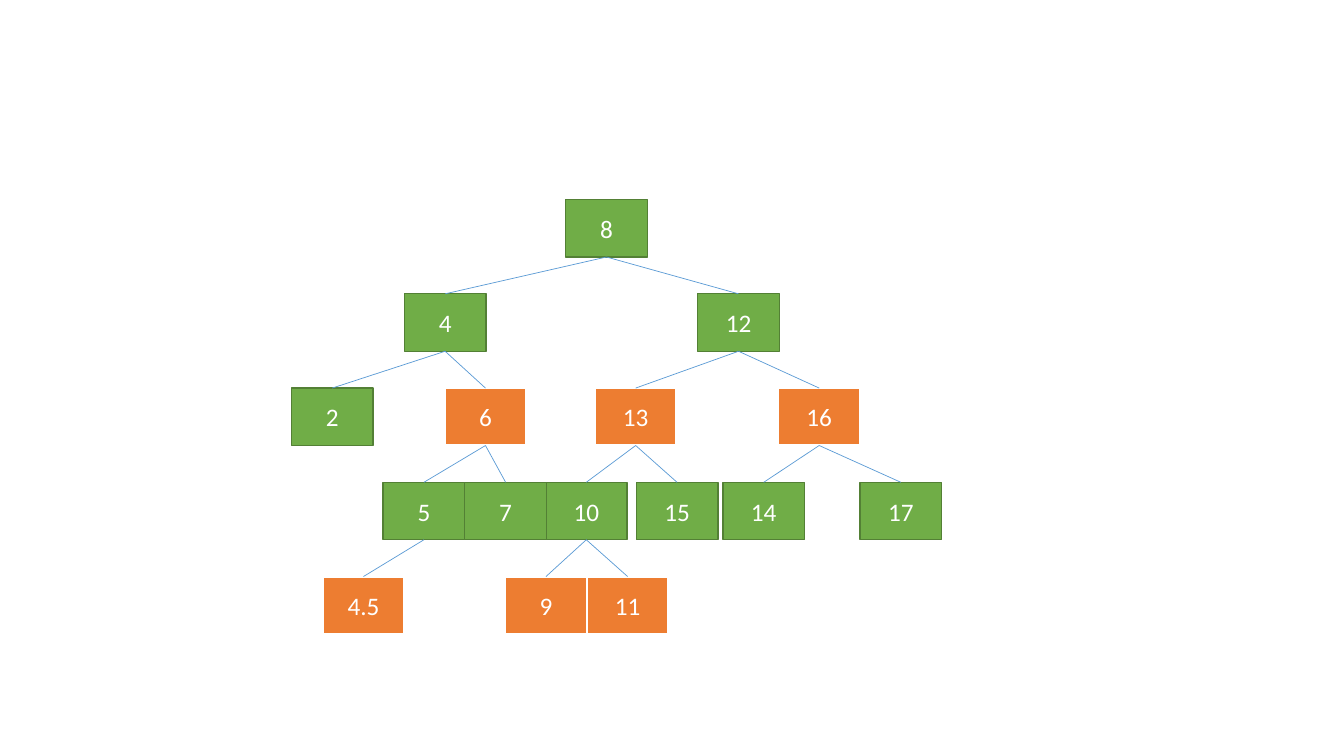
from pptx import Presentation
from pptx.dml.color import RGBColor
from pptx.enum.shapes import MSO_CONNECTOR as CONNECTOR, MSO_SHAPE as SHAPE
from pptx.enum.text import MSO_ANCHOR as ANCHOR, PP_ALIGN as ALIGN
from pptx.oxml.xmlchemy import OxmlElement
from pptx.util import Inches, Pt

GREEN = RGBColor(0x70, 0xAD, 0x47)
DARK_GREEN = RGBColor(0x53, 0x80, 0x35)
ORANGE = RGBColor(0xED, 0x7D, 0x31)
BLUE = RGBColor(0x5B, 0x9B, 0xD5)
WHITE = RGBColor(0xFF, 0xFF, 0xFF)

NODE_W, NODE_H = 0.81, 0.57
TOP, LEVEL_STEP = 1.98, 0.935

# fill, outline colour, outline width
BLACK_NODE = (GREEN, DARK_GREEN, 1)
RED_NODE = (ORANGE, WHITE, 1.5)

# key, parent key, left edge, style; touching nodes run right to left
LEVELS = [
    [("8", None, 5.61, BLACK_NODE)],
    [("4", "8", 4.01, BLACK_NODE), ("12", "8", 6.92, BLACK_NODE)],
    [("2", "4", 2.89, BLACK_NODE), ("6", "4", 4.41, RED_NODE),
     ("13", "12", 5.9, RED_NODE), ("16", "12", 7.72, RED_NODE)],
    [("17", "16", 8.53, BLACK_NODE), ("14", "16", 7.17, BLACK_NODE),
     ("15", "13", 6.31, BLACK_NODE), ("10", "13", 5.41, BLACK_NODE),
     ("7", "6", 4.61, BLACK_NODE), ("5", "6", 3.8, BLACK_NODE)],
    [("11", "10", 5.82, RED_NODE), ("9", "10", 5.01, RED_NODE),
     ("4.5", "5", 3.2, RED_NODE)],
]
BOTTOM_SITE, TOP_SITE = 2, 0

prs = Presentation()
prs.slide_width, prs.slide_height = Inches(13.33), Inches(7.5)
slide = prs.slides.add_slide(prs.slide_layouts[6])
nodes = {}

for depth, level in enumerate(LEVELS):
    for key, parent, left, (fill, outline, width) in level:
        sp = slide.shapes.add_shape(
            SHAPE.RECTANGLE, Inches(left), Inches(TOP + depth * LEVEL_STEP),
            Inches(NODE_W), Inches(NODE_H))
        nodes[key] = sp
        sp.shadow.inherit = False
        sp.fill.solid()
        sp.fill.fore_color.rgb = fill
        sp.line.color.rgb = outline
        sp.line.width = Pt(width)

        tf = sp.text_frame
        tf.text = key
        tf.vertical_anchor = ANCHOR.MIDDLE
        p = tf.paragraphs[0]
        p.alignment = ALIGN.CENTER
        font = p.runs[0].font
        font.name, font.size = "Calibri", Pt(18)
        font.color.rgb = WHITE

        if parent:
            edge = slide.shapes.add_connector(CONNECTOR.STRAIGHT, 0, 0, 0, 0)
            edge.begin_connect(nodes[parent], BOTTOM_SITE)
            edge.end_connect(sp, TOP_SITE)
            edge.line.color.rgb = BLUE
            edge.line.width = Pt(0.5)
            edge.element.spPr.append(OxmlElement("a:effectLst"))

prs.save("out.pptx")
